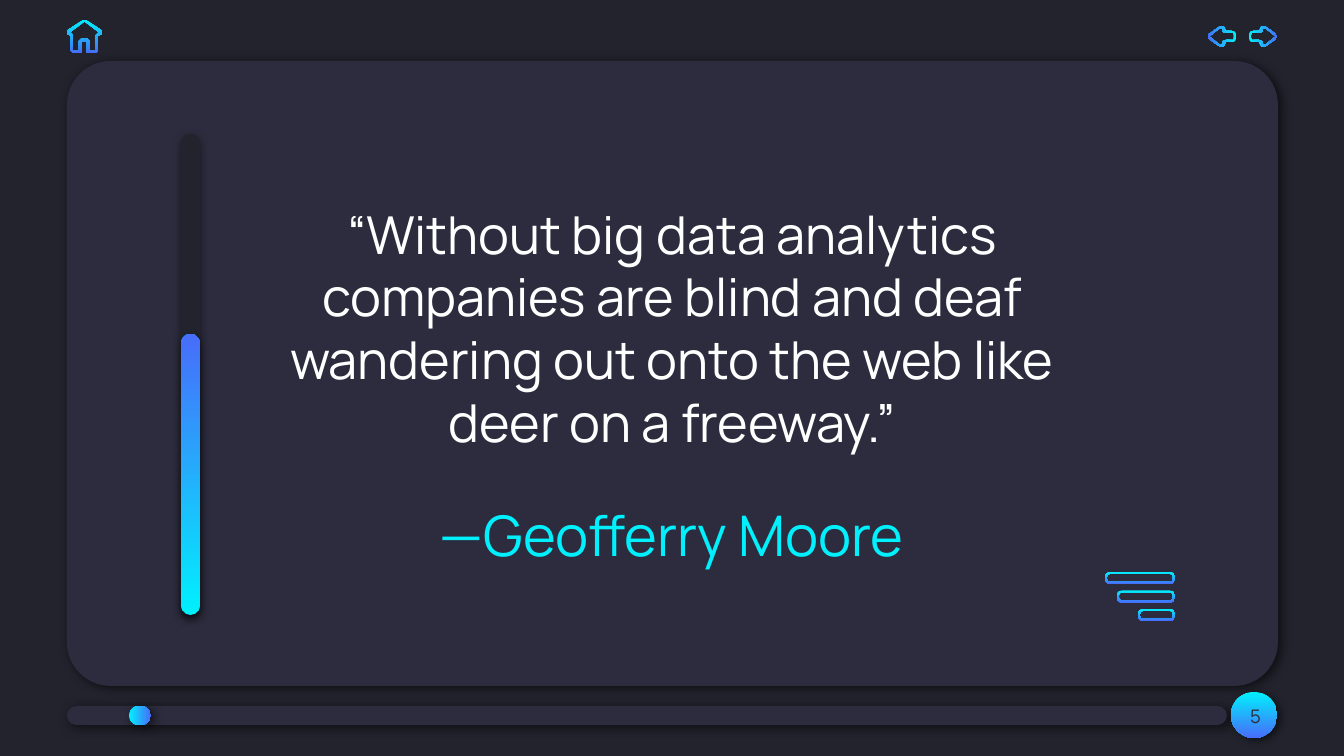
from dataclasses import dataclass
from math import cos, pi, sin
from typing import Optional

from lxml.etree import SubElement
from pptx import Presentation
from pptx.dml.color import RGBColor
from pptx.enum.shapes import MSO_SHAPE as Kind
from pptx.enum.text import MSO_ANCHOR as Anchor, MSO_AUTO_SIZE as Fit, PP_ALIGN as Align
from pptx.oxml.ns import qn
from pptx.util import Emu, Pt

SCALE = 914400 / 134.4
FONT = "Manrope"
NIGHT, SLATE, WHITE = "23232E", "2C2C3E", "FFFFFF"
CYAN, BLUE = "01F0FD", "476DFA"
RIGHT, DOWN, LEFT, UP = 0, 90, 180, 270

Point = tuple[float, float]
Box = tuple[int, int, int, int]


@dataclass
class Shade:
    """Shadow: opacity in percent, blur and distance in points, angle."""
    alpha: int
    blur: float
    dist: float
    angle: int


@dataclass
class Panel:
    """Preset shape with a plain colour, or a gradient along an angle."""
    box: Box
    shade: Shade
    color: str = ""
    angle: int = DOWN
    kind: Kind = Kind.ROUNDED_RECTANGLE
    bend: Optional[float] = 0.5


@dataclass
class Icon:
    """Outlined icon made of an outer and an inner contour."""
    outer: list[Point]
    inner: list[Point]
    angle: int = DOWN


def px(size: float) -> Emu:
    """Turn pixels into EMU."""
    return Emu(round(size * SCALE))


def tint(code: str) -> RGBColor:
    """Turn a hex string into a colour."""
    return RGBColor.from_string(code)


def paint(shape, color: str, angle: int) -> None:
    """Fill a shape plainly, or from cyan to blue along a clockwise angle."""
    shape.shadow.inherit = False
    shape.line.fill.background()
    if color:
        shape.fill.solid()
        shape.fill.fore_color.rgb = tint(color)
        return
    shape.fill.gradient()
    shape.fill.gradient_angle = (360 - angle) % 360
    for stop, code in zip(shape.fill.gradient_stops, (CYAN, BLUE)):
        stop.color.rgb = tint(code)


def cast(shape, shade: Shade) -> None:
    """Give a shape an outer shadow."""
    effects = shape.element.spPr.find(qn("a:effectLst"))
    outer = SubElement(effects, qn("a:outerShdw"), blurRad=str(Pt(shade.blur)),
                       dist=str(Pt(shade.dist)), dir=str(shade.angle * 60000),
                       algn="bl", rotWithShape="0")
    black = SubElement(outer, qn("a:srgbClr"), val="000000")
    SubElement(black, qn("a:alpha"), val=str(shade.alpha * 1000))


def draw_panel(shapes, panel: Panel) -> None:
    """Draw one preset shape with its shadow."""
    shape = shapes.add_shape(panel.kind, *map(px, panel.box))
    if panel.bend is not None:
        shape.adjustments[0] = panel.bend
    paint(shape, panel.color, panel.angle)
    cast(shape, panel.shade)


def draw_icon(shapes, icon: Icon) -> None:
    """Draw one icon as a ring between two contours."""
    rings = [[(px(x), px(y)) for x, y in ring] for ring in (icon.outer, icon.inner)]
    pen = shapes.build_freeform(*rings[0][0], scale=1.0)
    pen.add_line_segments(rings[0][1:], close=True)
    pen.move_to(*rings[1][0])
    pen.add_line_segments(rings[1][1:], close=True)
    paint(pen.convert_to_shape(), "", icon.angle)


def flip_x(points: list[Point], total: int) -> list[Point]:
    """Mirror points left to right, in reverse order."""
    return [(total - x, y) for x, y in reversed(points)]


def flip_y(points: list[Point], total: int) -> list[Point]:
    """Mirror points top to bottom, in reverse order."""
    return [(x, total - y) for x, y in reversed(points)]


def pill(box: Box, radius: int) -> list[Point]:
    """Trace a rectangle with round corners."""
    left, top, wide, high = box
    hubs = ((left + wide - radius, top + high - radius), (left + radius, top + high - radius),
            (left + radius, top + radius), (left + wide - radius, top + radius))
    steps = 4
    return [(x + radius * cos((turn + step / steps) * pi / 2),
             y + radius * sin((turn + step / steps) * pi / 2))
            for turn, (x, y) in enumerate(hubs) for step in range(steps + 1)]


def write(shape, box: Box, text: str, size: int, color: str, anchor: Anchor) -> None:
    """Place a text shape and add its centred run."""
    shape.left, shape.top, shape.width, shape.height = map(px, box)
    frame = shape.text_frame
    frame.auto_size = Fit.NONE
    frame.word_wrap = True
    frame.vertical_anchor = anchor
    frame.margin_left = frame.margin_right = px(13)
    frame.margin_top = frame.margin_bottom = px(13)
    para = frame.paragraphs[0]
    para.alignment = Align.CENTER
    run = para.add_run()
    run.text = text
    run.font.name, run.font.size = FONT, Pt(size)
    run.font.color.rgb = tint(color)


SOFT = Shade(60, 5.6, 2.2, 33)
NEAR = Shade(60, 4.5, 2.2, 33)
DROP = Shade(50, 4.5, 1.5, 90)

PANELS = [
    Panel((67, 61, 1211, 625), SOFT, SLATE, bend=0.07),
    Panel((67, 706, 1160, 19), SOFT, SLATE),
    Panel((1231, 692, 46, 46), NEAR, kind=Kind.OVAL, bend=None),
    Panel((181, 134, 19, 481), DROP, NIGHT),
    Panel((181, 334, 19, 281), DROP, angle=UP),
    Panel((129, 706, 22, 19), SOFT, angle=RIGHT),
]

BAR_END, BAR_TOP, BAR_GAP, BAR_HIGH = 1175, 572, 18.5, 12
BARS = []
for row, wide in enumerate((70, 58, 37)):
    start, top = BAR_END - wide, BAR_TOP + row * BAR_GAP
    BARS.append(Icon(pill((start, top, wide, BAR_HIGH), 5),
                     pill((start + 2, top + 2, wide - 4, BAR_HIGH - 4), 3)))

MID_Y, MID_X, HOME_X = 73, 2485, 169
EDGE = [(1249, 35), (1250, 32), (1253, 31), (1259, 31), (1260, 29), (1261, 27),
        (1263, 26), (1266, 27), (1276, 34), (1277, 36)]
CORE = [(1251, 35), (1252, 33), (1259, 33), (1262, 32), (1263, 29), (1265, 28), (1275, 36)]
NEXT = Icon(EDGE + flip_y(EDGE, MID_Y), CORE + flip_y(CORE, MID_Y), RIGHT)
BACK = Icon(flip_x(NEXT.outer, MID_X), flip_x(NEXT.inner, MID_X), LEFT)

ROOF = [(83, 20), (68, 30), (67, 32), (67, 34), (69, 35), (71, 36), (71, 51), (73, 53),
        (82, 53), (82, 42)]
WALL = [(84, 22), (69, 33), (71, 33), (73, 35), (73, 51), (79, 51), (79, 41), (81, 39)]
HOME = Icon(ROOF + flip_x(ROOF, HOME_X), WALL + flip_x(WALL, HOME_X))

QUOTE = ("“Without big data analytics companies are blind and deaf "
         "wandering out onto the web like deer on a freeway.”")


def main() -> None:
    """Build the quote slide and save it."""
    deck = Presentation()
    deck.slide_width, deck.slide_height = px(1344), px(756)
    slide = deck.slides.add_slide(deck.slide_layouts[5])
    slide.background.fill.solid()
    slide.background.fill.fore_color.rgb = tint(NIGHT)
    shapes = slide.shapes
    for panel in PANELS:
        draw_panel(shapes, panel)
    for icon in (*BARS, NEXT, BACK, HOME):
        draw_icon(shapes, icon)
    for box, text, size, color, anchor in (
            ((1215, 687, 81, 58), "5", 10, SLATE, Anchor.MIDDLE),
            ((262, 190, 820, 276), QUOTE, 28, WHITE, Anchor.BOTTOM)):
        write(shapes.add_textbox(0, 0, 0, 0), box, text, size, color, anchor)
    title = shapes.title
    write(title, (262, 488, 820, 78), "—Geofferry Moore", 30, CYAN, Anchor.TOP)
    title.element.getparent().append(title.element)
    deck.save("out.pptx")


main()
